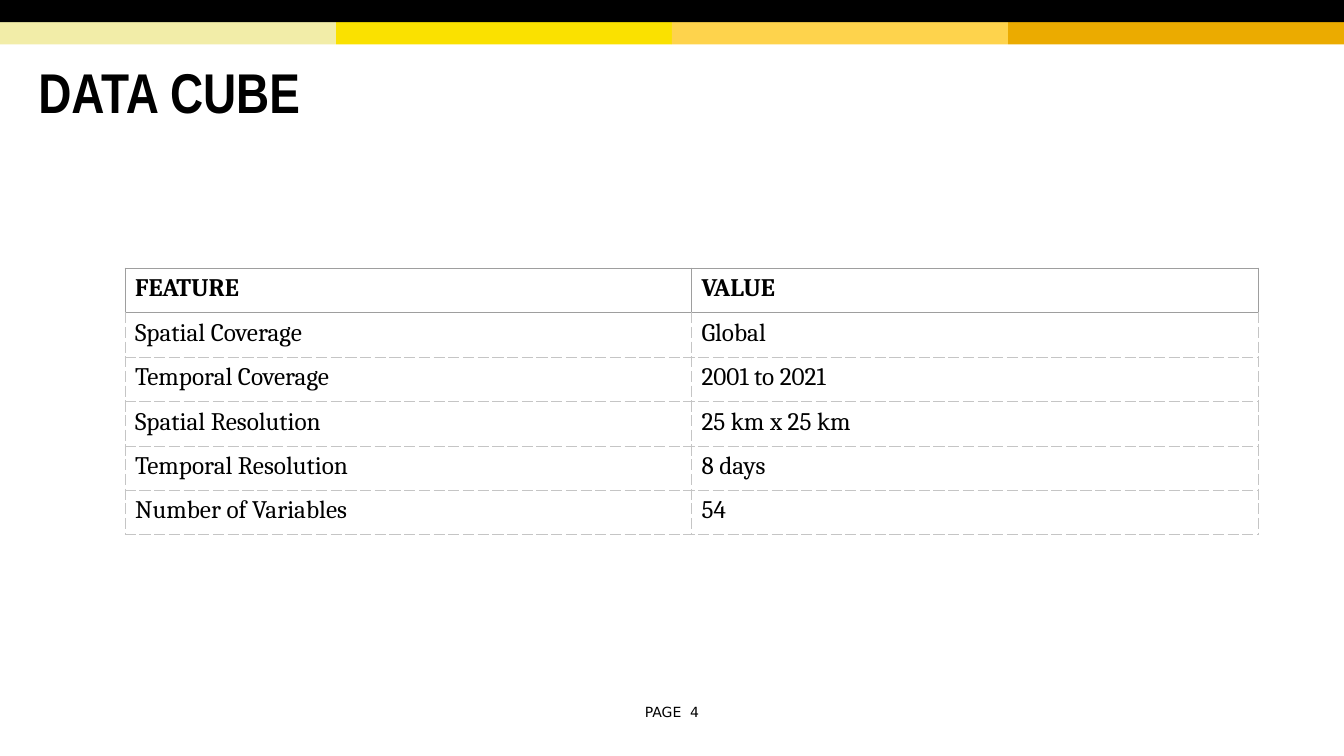
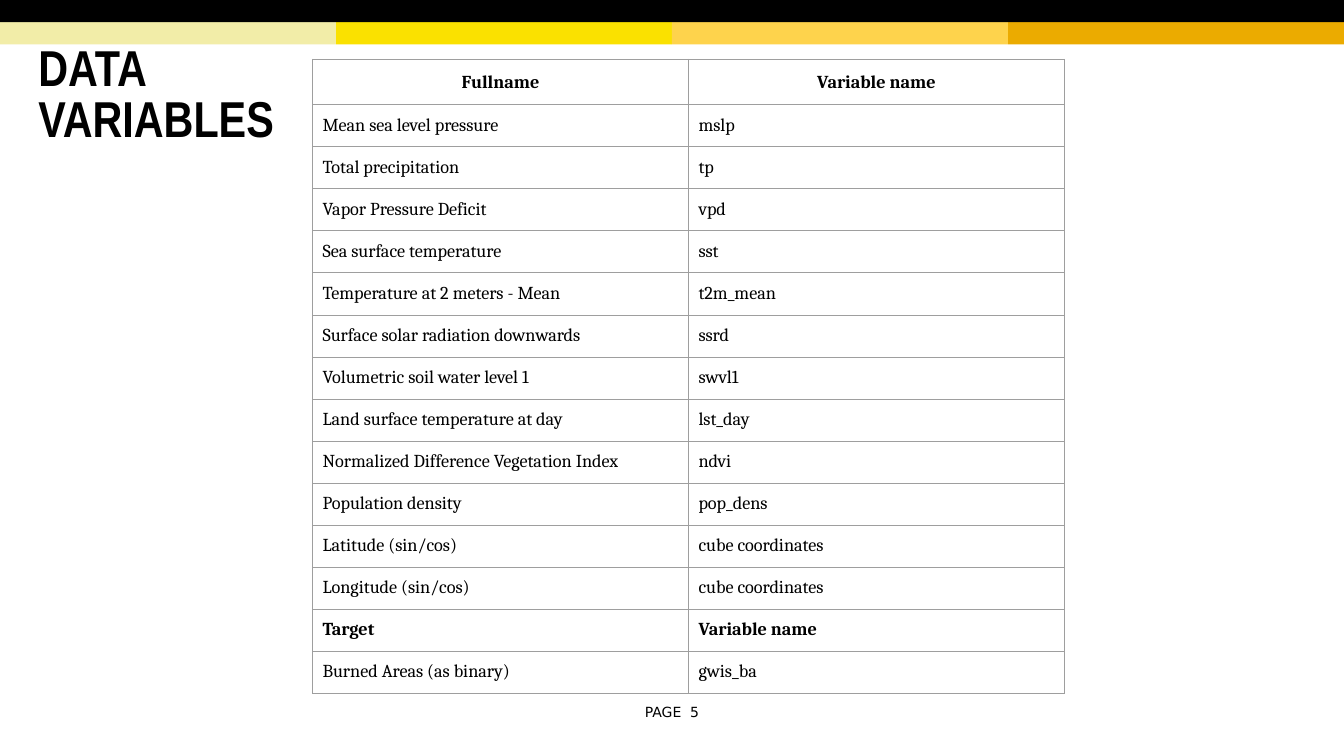
"""Build two slides that describe a data cube and its variables."""
import dataclasses

import lxml.etree
import pptx
import pptx.dml.color
import pptx.enum.shapes
import pptx.enum.text
import pptx.oxml.ns
import pptx.util


@dataclasses.dataclass(frozen=True)
class Theme:
    ink: str = "000000"
    bands: tuple = ("F2EDA8", "FAE100", "FED34C", "EBAB00")
    solid_border: tuple = ("9E9E9E", 0.75, "solid")
    dashed_border: tuple = ("C5C5C5", 0.4, "dash")
    title_font: str = "Arial Narrow"
    table_font: str = "Cambria"
    footer_font: str = "DejaVu Sans"
    footer_size: int = 10


def format_text(frame, font, size, bold, align, spacing):
    for para in frame.paragraphs:
        para.alignment = align
        para.line_spacing = spacing
        for span in para.runs:
            span.font.name = font
            span.font.size = pptx.util.Pt(size)
            span.font.bold = bold
            span.font.color.rgb = pptx.dml.color.RGBColor.from_string(theme.ink)


def draw_borders(cell, border):
    color, width, dash = border
    properties = cell._tc.get_or_add_tcPr()
    for side in ("lnL", "lnR", "lnT", "lnB"):
        line = lxml.etree.SubElement(properties, pptx.oxml.ns.qn("a:" + side), w=str(pptx.util.Pt(width)))
        fill = lxml.etree.SubElement(line, pptx.oxml.ns.qn("a:solidFill"))
        lxml.etree.SubElement(fill, pptx.oxml.ns.qn("a:srgbClr"), val=color)
        lxml.etree.SubElement(line, pptx.oxml.ns.qn("a:prstDash"), val=dash)


theme = Theme()
LEFT = pptx.enum.text.PP_ALIGN.LEFT
CENTER = pptx.enum.text.PP_ALIGN.CENTER
MIDDLE = pptx.enum.text.MSO_ANCHOR.MIDDLE

cube_rows = [
    ("FEATURE", "VALUE"),
    ("Spatial Coverage", "Global"),
    ("Temporal Coverage", "2001 to 2021"),
    ("Spatial Resolution", "25 km x 25 km"),
    ("Temporal Resolution", "8 days"),
    ("Number of Variables", "54"),
]
variable_rows = [
    ("Fullname", "Variable name"),
    ("Mean sea level pressure", "mslp"),
    ("Total precipitation", "tp"),
    ("Vapor Pressure Deficit", "vpd"),
    ("Sea surface temperature", "sst"),
    ("Temperature at 2 meters - Mean", "t2m_mean"),
    ("Surface solar radiation downwards", "ssrd"),
    ("Volumetric soil water level 1", "swvl1"),
    ("Land surface temperature at day", "lst_day"),
    ("Normalized Difference Vegetation Index", "ndvi"),
    ("Population density", "pop_dens"),
    ("Latitude (sin/cos)", "cube coordinates"),
    ("Longitude (sin/cos)", "cube coordinates"),
    ("Target", "Variable name"),
    ("Burned Areas (as binary)", "gwis_ba"),
]
slides = [
    dict(title="DATA CUBE", title_size=40, number=4, rows=cube_rows, bold_rows=(0,),
         place=(3.72, 12.06, 33.72, 1.95), size=18, header_align=LEFT,
         header_spacing=0.8, body_spacing=0.8, body_border=theme.dashed_border),
    dict(title="DATA\nVARIABLES", title_size=36, number=5, rows=variable_rows, bold_rows=(0, 13),
         place=(9.3, 2.67, 22.38, 1.81), size=13, header_align=CENTER,
         header_spacing=1.15, body_spacing=1.0, body_border=theme.solid_border),
]

deck = pptx.Presentation()
deck.slide_width = pptx.util.Inches(13.33)
deck.slide_height = pptx.util.Inches(7.5)
column = deck.slide_width / 40
row = deck.slide_height / 34

layout = deck.slide_layouts.get_by_name("Title Only")
for placeholder in list(layout.placeholders)[1:]:
    layout.shapes.element.remove(placeholder.element)
pages = [deck.slides.add_slide(layout) for slide in slides]

bands = [(10 * index, 1, 10, color) for index, color in enumerate(theme.bands)]
for left, top, width, color in bands + [(0, 0, 40, theme.ink)]:
    band = pages[0].shapes.add_shape(
        pptx.enum.shapes.MSO_SHAPE.RECTANGLE,
        round(left * column), round(top * row), round(width * column), round(row))
    band.shadow.inherit = False
    band.fill.solid()
    band.fill.fore_color.rgb = pptx.dml.color.RGBColor.from_string(color)
    band.line.fill.background()
    layout.shapes.element.append(band.element)

for page, slide in zip(pages, slides):
    title = page.shapes.title
    title.left, title.top = round(0.84 * column), round(2.13 * row)
    title.width, title.height = round(37.95 * column), round(4.44 * row)
    title.text_frame.text = slide["title"]
    title.text_frame.auto_size = pptx.enum.text.MSO_AUTO_SIZE.NONE
    title.text_frame.vertical_anchor = MIDDLE
    format_text(title.text_frame, theme.title_font, slide["title_size"], True, LEFT, 0.85)

    footer = page.shapes.add_textbox(
        round(18.33 * column), round(31.42 * row), round(3.34 * column), round(1.22 * row))
    footer.text_frame.text = f"PAGE  {slide['number']}"
    footer.text_frame.word_wrap = True
    footer.text_frame.vertical_anchor = MIDDLE
    format_text(footer.text_frame, theme.footer_font, theme.footer_size, False, CENTER, 1.0)

    left, top, width, row_height = slide["place"]
    rows = slide["rows"]
    table = page.shapes.add_table(
        len(rows), 2, round(left * column), round(top * row),
        round(width * column), round(len(rows) * row_height * row)).table
    table.first_row = False
    table.horz_banding = False
    for row_index, values in enumerate(rows):
        header = row_index == 0
        for column_index, value in enumerate(values):
            cell = table.cell(row_index, column_index)
            cell.text_frame.text = value
            cell.margin_left = cell.margin_right = pptx.util.Inches(0.1)
            cell.margin_top = cell.margin_bottom = pptx.util.Inches(0.1)
            draw_borders(cell, theme.solid_border if header else slide["body_border"])
            cell.fill.background()
            format_text(
                cell.text_frame, theme.table_font, slide["size"], row_index in slide["bold_rows"],
                slide["header_align"] if header else LEFT,
                slide["header_spacing"] if header else slide["body_spacing"])

deck.save("out.pptx")
